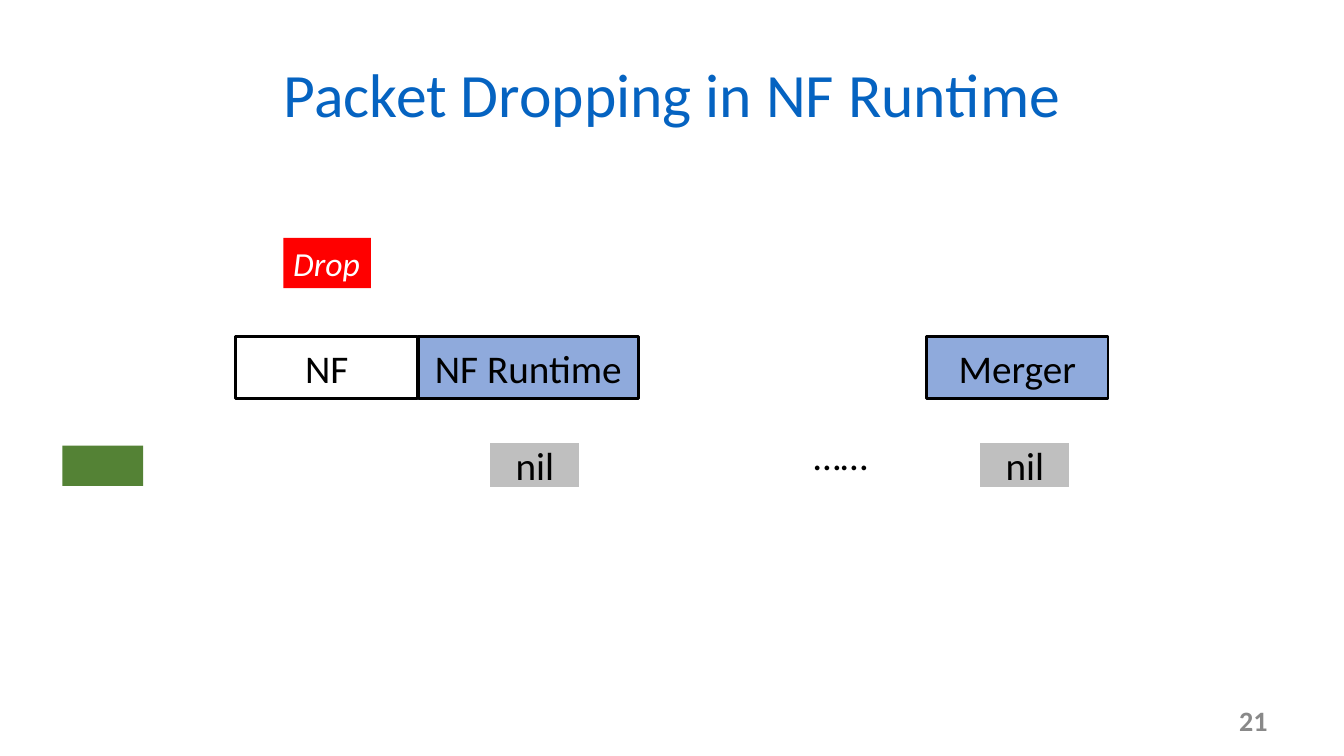
from pptx import Presentation
from pptx import util as u
from pptx.dml.color import RGBColor
from pptx.enum import shapes, text

PX = 9144
COLORS = {
    "title": "0563C1", "number": "898989", "black": "000000", "white": "FFFFFF",
    "blue": "8FAADC", "gray": "BFBFBF", "green": "548235", "red": "FF0000",
}


class Deck:
    font = "Calibri"

    def __init__(self, width, height):
        self.prs = Presentation()
        self.prs.slide_width, self.prs.slide_height = width * PX, height * PX
        self.s = self.prs.slides.add_slide(self.prs.slide_layouts[6])

    def color(self, name):
        return RGBColor.from_string(COLORS[name])

    def add_words(self, sp, words, size, color="black", align=text.PP_ALIGN.CENTER,
                  anchor=text.MSO_ANCHOR.MIDDLE, wrap=True, bold=False, italic=False):
        tf = sp.text_frame
        tf.word_wrap = wrap
        tf.vertical_anchor = anchor
        if not wrap:
            tf.auto_size = text.MSO_AUTO_SIZE.SHAPE_TO_FIT_TEXT
        p = tf.paragraphs[0]
        p.alignment = align
        r = p.add_run()
        r.text = words
        r.font.name, r.font.size = self.font, u.Pt(size)
        r.font.bold, r.font.italic = bold, italic
        r.font.color.rgb = self.color(color)

    def label(self, box, words, size, **style):
        sp = self.s.shapes.add_textbox(*(v * PX for v in box))
        self.add_words(sp, words, size, **style)

    def rect(self, box, fill, line=None, words=None, size=28, **style):
        sp = self.s.shapes.add_shape(shapes.MSO_SHAPE.RECTANGLE, *(v * PX for v in box))
        sp.shadow.inherit = False
        sp.fill.solid()
        sp.fill.fore_color.rgb = self.color(fill)
        if line:
            sp.line.color.rgb = self.color(line)
            sp.line.width = u.Pt(2)
        else:
            sp.line.fill.background()
        if words:
            self.add_words(sp, words, size, **style)


def main():
    deck = Deck(1333, 750)
    loose = dict(align=text.PP_ALIGN.LEFT, anchor=text.MSO_ANCHOR.TOP, wrap=False)

    deck.label((67, 30, 1200, 125), "Packet Dropping in NF Runtime", 44, color="title")
    deck.label((956, 695, 311, 40), "21", 20, color="number",
               align=text.PP_ALIGN.RIGHT, bold=True)

    for left, width, fill, words in (
        (415, 218, "blue", "NF Runtime"),
        (234, 180, "white", "NF"),
        (919, 180, "blue", "Merger"),
    ):
        deck.rect((left, 334, width, 61), fill, "black", words)

    for left in (485, 971):
        deck.rect((left, 438, 91, 47), "gray", "white", "nil")

    deck.rect((62, 442, 80, 40), "green")
    deck.rect((281, 236, 87, 50), "red", words="Drop", size=24,
              color="white", italic=True, **loose)
    deck.label((797, 423, 75, 57), "……", 28, **loose)

    deck.prs.save("out.pptx")


if __name__ == "__main__":
    main()
